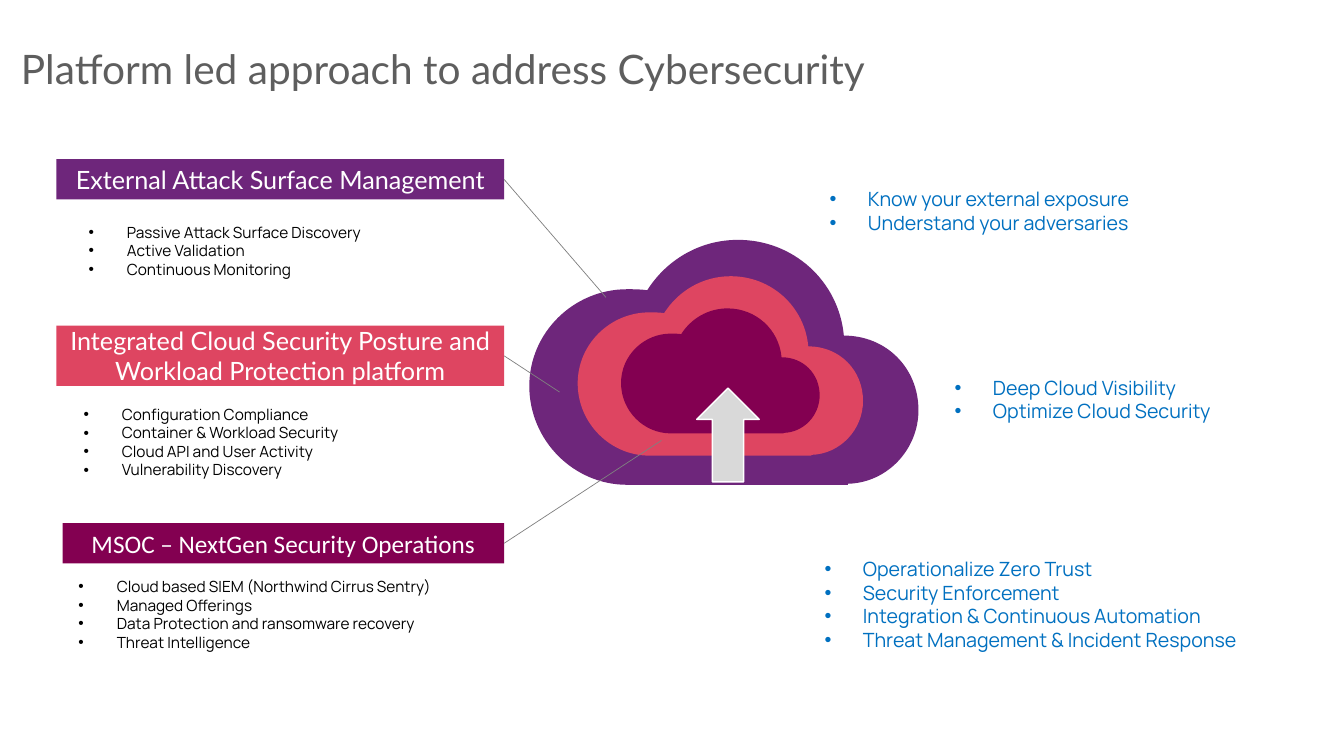
import pptx
import pptx.util
import pptx.dml.color
import pptx.enum.shapes
import pptx.enum.text
import pptx.oxml.ns
import lxml.etree

Inches = pptx.util.Inches
Pt = pptx.util.Pt
RGBColor = pptx.dml.color.RGBColor
Shape = pptx.enum.shapes.MSO_SHAPE
Align = pptx.enum.text.PP_ALIGN
Anchor = pptx.enum.text.MSO_ANCHOR
Fit = pptx.enum.text.MSO_AUTO_SIZE
qn = pptx.oxml.ns.qn

PURPLE = RGBColor(0x6E, 0x26, 0x7B)
CORAL = RGBColor(0xDE, 0x45, 0x61)
WINE = RGBColor(0x83, 0x00, 0x51)
BLUE = RGBColor(0x00, 0x70, 0xC0)
SLATE = RGBColor(0x5E, 0x5E, 0x5E)
GREY = RGBColor(0x80, 0x80, 0x80)
SILVER = RGBColor(0xD9, 0xD9, 0xD9)
BLACK = RGBColor(0, 0, 0)
WHITE = RGBColor(255, 255, 255)

TITLE = "Platform led approach to address Cybersecurity"
HEADS = [
    ("External Attack Surface Management", (0.56, 1.58, 4.44, 0.4), PURPLE, "Lato"),
    ("Integrated Cloud Security Posture and Workload Protection platform",
     (0.56, 3.23, 4.44, 0.6), CORAL, "Lato"),
    ("MSOC – NextGen Security Operations", (0.62, 5.19, 4.38, 0.4), WINE, "Calibri"),
]
TIPS = [(6.01, 2.95), (5.55, 3.89), (6.56, 4.37)]
SMALL = {"name": "Manrope", "size": Pt(11), "color": BLACK}
LARGE = {"name": "Manrope", "size": Pt(14), "color": BLUE}
LISTS = [
    ((0.78, 2.16, 4.04, 0.66), SMALL, [
        "Passive Attack Surface Discovery", "Active Validation",
        "Continuous Monitoring"]),
    ((0.73, 3.97, 4.55, 0.84), SMALL, [
        "Configuration Compliance", "Container & Workload Security",
        "Cloud API and User Activity", "Vulnerability Discovery"]),
    ((0.68, 5.68, 5.32, 0.84), SMALL, [
        "Cloud based SIEM (Northwind Cirrus Sentry)", "Managed Offerings",
        "Data Protection and ransomware recovery", "Threat Intelligence"]),
    ((8.13, 1.81, 4.36, 0.57), LARGE, [
        "Know your external exposure", "Understand your adversaries"]),
    ((9.37, 3.68, 4.01, 0.57), LARGE, [
        "Deep Cloud Visibility", "Optimize Cloud Security"]),
    ((8.08, 5.48, 4.95, 1.04), LARGE, [
        "Operationalize Zero Trust", "Security Enforcement",
        "Integration & Continuous Automation",
        "Threat Management & Incident Response"]),
]
CLOUDS = [
    ((5.25, 2.38, 3.86, 2.43), PURPLE),
    ((5.73, 2.74, 2.83, 1.78), CORAL),
    ((6.16, 3.06, 1.97, 1.24), WINE),
]
SPAN = (3.86, 2.43)
START = (3.16, 2.43)
CURVES = [
    ((3.16, 2.43), (0.97, 2.43), (0.97, 2.43)),
    ((0.44, 2.43), (0, 1.99), (0, 1.45)),
    ((0, 0.92), (0.44, 0.49), (0.97, 0.49)),
    ((1.04, 0.49), (1.1, 0.49), (1.17, 0.5)),
    ((1.36, 0.2), (1.69, 0), (2.07, 0)),
    ((2.62, 0), (3.07, 0.41), (3.12, 0.95)),
    ((3.54, 0.95), (3.86, 1.27), (3.86, 1.69)),
    ((3.86, 2.08), (3.55, 2.41), (3.16, 2.42)),
]


def paint(shape, fill, edge=None):
    shape.shadow.inherit = False
    shape.fill.solid()
    shape.fill.fore_color.rgb = fill
    if edge is None:
        shape.line.fill.background()
    else:
        shape.line.color.rgb = edge
        shape.line.width = Pt(1)


def bend(shape):
    lines = list(shape._element.iter(qn("a:lnTo")))
    for i in range(0, len(lines), 3):
        curve = lxml.etree.Element(qn("a:cubicBezTo"))
        lines[i].addprevious(curve)
        for line in lines[i:i + 3]:
            curve.append(line[0])
            line.getparent().remove(line)


def cloud(shapes, box, fill):
    x, y, w, h = box
    dots = [START] + [dot for curve in CURVES for dot in curve]
    spots = [(Inches(x + p * w / SPAN[0]), Inches(y + q * h / SPAN[1])) for p, q in dots]
    form = shapes.build_freeform(*spots[0])
    form.add_line_segments(spots[1:], close=True)
    shape = form.convert_to_shape()
    bend(shape)
    paint(shape, fill)


def style(font, look):
    for key, val in look.items():
        if key == "color":
            font.color.rgb = val
        else:
            setattr(font, key, val)


def write(shape, lines, look, frame, align=Align.LEFT, mark=False):
    body = shape.text_frame
    for key, val in frame.items():
        setattr(body, key, val)
    for i, line in enumerate(lines):
        para = body.paragraphs[0] if i == 0 else body.add_paragraph()
        para.alignment = align
        if mark:
            props = para._p.get_or_add_pPr()
            props.set("marL", str(Inches(0.38)))
            props.set("indent", str(-Inches(0.38)))
            for tag, key, val in (("a:buFont", "typeface", "Arial"), ("a:buChar", "char", "•")):
                lxml.etree.SubElement(props, qn(tag)).set(key, val)
        run = para.add_run()
        run.text = line
        style(run.font, look)


def main():
    deck = pptx.Presentation()
    deck.slide_width, deck.slide_height = Inches(13.33), Inches(7.5)
    slide = deck.slides.add_slide(deck.slide_layouts[6])
    shapes = slide.shapes
    middle = {"word_wrap": True, "vertical_anchor": Anchor.MIDDLE}
    grow = {"word_wrap": True, "auto_size": Fit.SHAPE_TO_FIT_TEXT}

    title = shapes.add_textbox(*map(Inches, (0.11, 0.32, 13.27, 0.71)))
    write(title, [TITLE], {"name": "Lato", "size": Pt(29), "color": SLATE}, middle)

    for box, fill in CLOUDS:
        cloud(shapes, box, fill)

    for (text, box, fill, face), tip in zip(HEADS, TIPS):
        head = shapes.add_shape(Shape.RECTANGLE, *map(Inches, box))
        paint(head, fill)
        write(head, [text], {"name": face, "size": Pt(18), "color": WHITE}, middle, Align.CENTER)
        x, y, w, h = box
        link = shapes.add_connector(
            pptx.enum.shapes.MSO_CONNECTOR.STRAIGHT,
            *map(Inches, (x + w, y + h / 2, *tip)))
        link.line.color.rgb = GREY
        link.line.width = Pt(0.5)
        lxml.etree.SubElement(link._element.spPr, qn("a:effectLst"))

    for box, look, lines in LISTS:
        area = shapes.add_textbox(*map(Inches, box))
        write(area, lines, look, grow, mark=True)

    arrow = shapes.add_shape(Shape.DOWN_ARROW, *map(Inches, (6.91, 3.85, 0.62, 0.93)))
    arrow.rotation = 180
    paint(arrow, SILVER, WHITE)

    deck.save("out.pptx")


if __name__ == "__main__":
    main()
